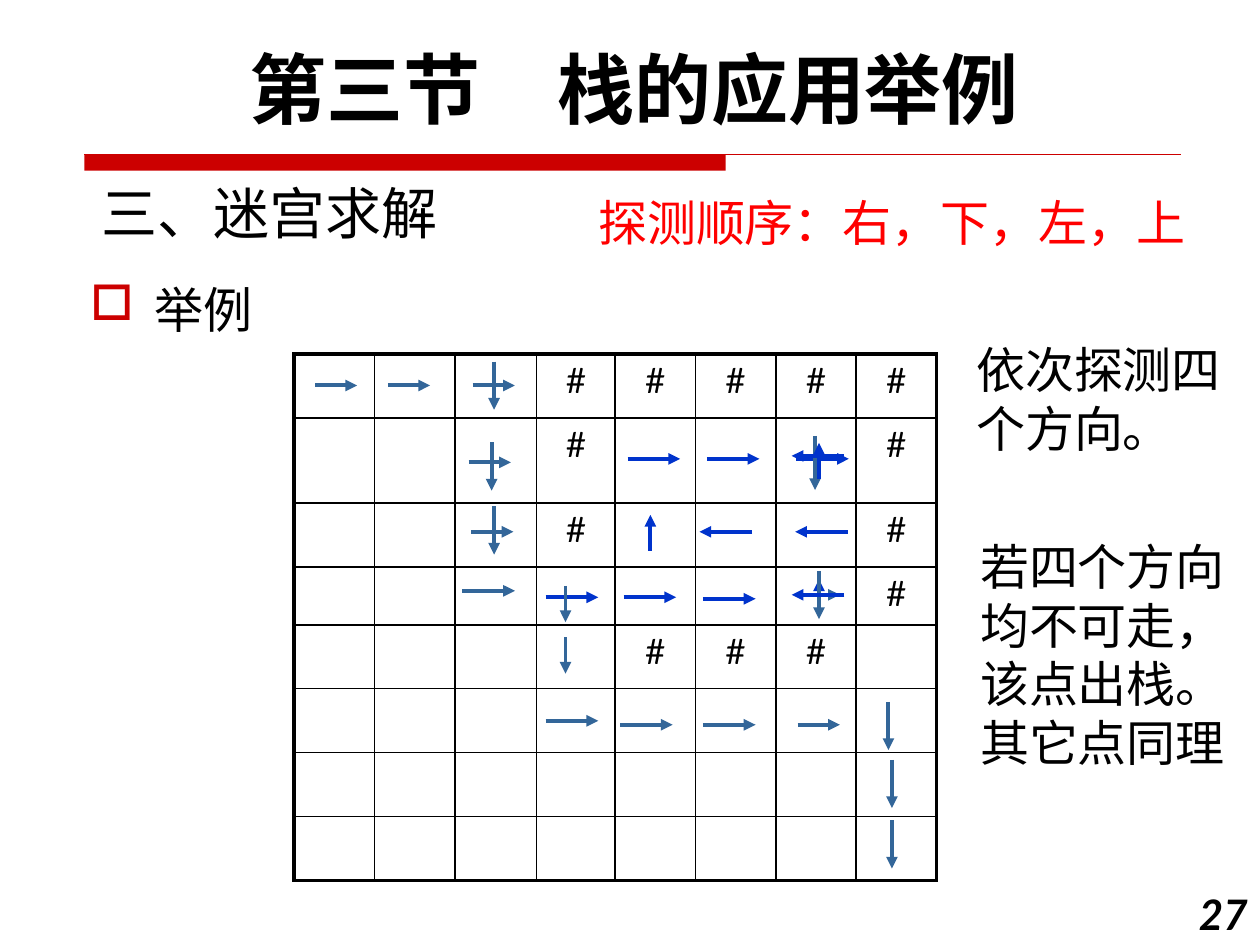
from lxml.etree import SubElement
from pptx import Presentation
from pptx.dml.color import RGBColor
from pptx.enum.shapes import MSO_CONNECTOR, MSO_SHAPE
from pptx.enum.text import MSO_ANCHOR as Anchor, PP_ALIGN as Align
from pptx.oxml.ns import qn
from pptx.util import Cm, Pt

COLORS = {
    "black": "000000",
    "red": "CC0000",
    "bright_red": "FF0000",
    "steel": "336699",
    "blue": "0033CC",
}
LATIN, CHINESE = "Lato", "Noto Sans CJK SC"

COLUMN_WIDTHS = [1.62, 1.62, 1.65, 1.58, 1.62, 1.62, 1.62, 1.62]
ROW_HEIGHTS = [1.29, 1.71, 1.29, 1.17, 1.28, 1.29, 1.29, 1.29]
MAZE = [
    "...#####",
    "...#...#",
    "...#...#",
    ".......#",
    "....###.",
    "........",
    "........",
    "........",
]

# Arrow groups from back to front: colour, (dx, dy), start points
ARROWS = [
    ("blue", (1.06, 0), [(11, 12.04), (12.57, 12.04), (14.17, 12.07),
                         (12.65, 9.25), (14.25, 9.25), (16.05, 9.25)]),
    ("blue", (-1.06, 0), [(17.09, 10.72), (15.16, 10.72)]),
    ("blue", (0, -0.72), [(16.51, 12.4), (13.11, 11.1)]),
    ("steel", (0.85, 0), [(6.35, 7.77), (7.82, 7.77), (9.53, 7.77),
                          (9.45, 9.32), (9.5, 10.72), (16.08, 11.99),
                          (16.08, 14.61)]),
    ("steel", (1.06, 0), [(9.32, 11.91), (11, 14.53), (12.5, 14.61),
                          (14.17, 14.61)]),
    ("steel", (0, 0.97), [(9.96, 7.29), (9.91, 8.92), (9.96, 10.21),
                          (16.51, 11.51), (17.91, 14.15), (17.98, 15.32),
                          (17.98, 16.54)]),
    ("steel", (0, 1.09), [(16.43, 8.79)]),
    ("steel", (0, 0.73), [(11.4, 11.81), (11.4, 12.85)]),
    ("blue", (-1.06, 0), [(17.02, 11.99), (17.02, 9.19)]),
    ("blue", (0, -0.72), [(16.51, 9.65)]),
]


def rgb(name):
    return RGBColor.from_string(COLORS[name])


def style_paragraph(paragraph, size, font=CHINESE, color="black",
                    bold=False, italic=False):
    paragraph.font.size = Pt(size)
    paragraph.font.name = font
    paragraph.font.bold = bold
    paragraph.font.italic = italic
    paragraph.font.color.rgb = rgb(color)
    latin = paragraph.font._element.find(qn("a:latin"))
    east_asian = latin.makeelement(qn("a:ea"), {"typeface": CHINESE})
    latin.addnext(east_asian)


def add_bullet(paragraph, symbol, color, indent):
    properties = paragraph._p.get_or_add_pPr()
    properties.set("marL", str(Cm(indent)))
    properties.set("indent", str(-Cm(indent)))
    bullet_color = SubElement(properties, qn("a:buClr"))
    SubElement(bullet_color, qn("a:srgbClr"), val=COLORS[color])
    SubElement(properties, qn("a:buChar"), char=symbol)


def add_text(slide, text, box, size, align=Align.LEFT, anchor=Anchor.TOP,
             bullet=None, **style):
    shape = slide.shapes.add_textbox(*map(Cm, box))
    frame = shape.text_frame
    frame.word_wrap = True
    frame.vertical_anchor = anchor
    paragraph = frame.paragraphs[0]
    paragraph.text = text
    paragraph.alignment = align
    paragraph.line_spacing = Pt(round(size * 1.2, 1))
    if bullet:
        add_bullet(paragraph, *bullet)
    style_paragraph(paragraph, size, **style)


def add_line(slide, start, end, color, width, arrow=False):
    connector = slide.shapes.add_connector(
        MSO_CONNECTOR.STRAIGHT, *map(Cm, (*start, *end)))
    connector.line.color.rgb = rgb(color)
    connector.line.width = Pt(width)
    if arrow:
        SubElement(connector.line._get_or_add_ln(), qn("a:tailEnd"),
                   type="triangle")
    SubElement(connector._element.spPr, qn("a:effectLst"))


def add_title_rule(slide):
    bar = slide.shapes.add_shape(
        MSO_SHAPE.RECTANGLE, Cm(1.7), Cm(3.12), Cm(12.93), Cm(0.32))
    bar.shadow.inherit = False
    bar.fill.solid()
    bar.fill.fore_color.rgb = rgb("red")
    bar.line.fill.background()
    add_line(slide, (1.7, 3.12), (23.8, 3.12), "red", 0.75)


def set_borders(cell, widths):
    properties = cell._tc.get_or_add_tcPr()
    for side, width in widths.items():
        line = SubElement(properties, qn(f"a:ln{side}"), w=str(Pt(width)))
        fill = SubElement(line, qn("a:solidFill"))
        SubElement(fill, qn("a:srgbClr"), val=COLORS["black"])


def add_maze(slide):
    rows, columns = len(ROW_HEIGHTS), len(COLUMN_WIDTHS)
    table = slide.shapes.add_table(
        rows, columns, Cm(5.93), Cm(7.14),
        Cm(sum(COLUMN_WIDTHS)), Cm(sum(ROW_HEIGHTS))).table
    table.first_row = table.horz_banding = False
    for column, width in zip(table.columns, COLUMN_WIDTHS):
        column.width = Cm(width)
    for row, height in zip(table.rows, ROW_HEIGHTS):
        row.height = Cm(height)

    outer, inner = 2.25, 1
    for r, marks in enumerate(MAZE):
        for c, mark in enumerate(marks):
            cell = table.cell(r, c)
            cell.margin_left = cell.margin_right = cell.margin_bottom = 0
            cell.margin_top = Cm(0.1)
            set_borders(cell, {
                "L": outer if c == 0 else inner,
                "R": outer if c == columns - 1 else inner,
                "T": outer if r == 0 else inner,
                "B": outer if r == rows - 1 else inner,
            })
            cell.fill.background()
            if mark == "#":
                paragraph = cell.text_frame.paragraphs[0]
                paragraph.text = mark
                paragraph.alignment = Align.CENTER
                style_paragraph(paragraph, 20, font=LATIN)


def main():
    presentation = Presentation()
    presentation.slide_width, presentation.slide_height = Cm(25.4), Cm(19.05)
    slide = presentation.slides.add_slide(presentation.slide_layouts[6])

    # Headings
    add_title_rule(slide)
    add_text(slide, "第三节　栈的应用举例", (1.04, 0.71, 23.5, 2.13), 44,
             align=Align.CENTER, font=LATIN, bold=True)
    add_text(slide, "三、迷宫求解", (1.8, 3.18, 15.88, 1.9), 32,
             anchor=Anchor.BOTTOM)
    add_text(slide, "探测顺序：右，下，左，上", (11.81, 3.76, 12.78, 1.45), 28,
             color="bright_red")
    add_text(slide, "举例", (1.57, 5.51, 24.33, 11.23), 28,
             bullet=("□", "red", 1.3))

    # Maze with the explored moves
    add_maze(slide)
    for color, (dx, dy), starts in ARROWS:
        for x, y in starts:
            add_line(slide, (x, y), (x + dx, y + dy), color, 2.25, arrow=True)

    # Explanations and page number
    add_text(slide, "依次探测四个方向。", (19.43, 6.73, 5.61, 2.64), 28)
    add_text(slide, "若四个方向均不可走，该点出栈。其它点同理",
             (19.51, 10.69, 5.61, 5.05), 28)
    add_text(slide, "27", (23.7, 17.78, 1.7, 1.27), 24, align=Align.RIGHT,
             font=LATIN, bold=True, italic=True)

    presentation.save("out.pptx")


if __name__ == "__main__":
    main()
